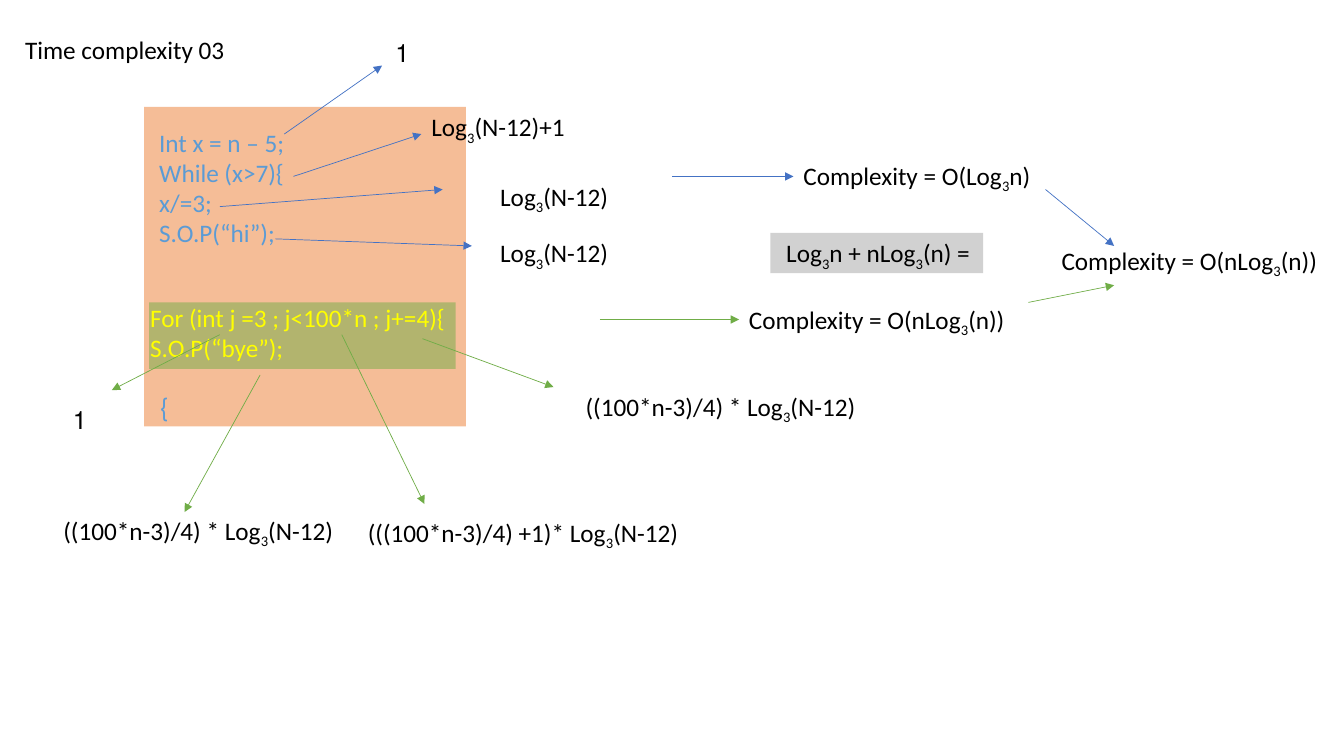
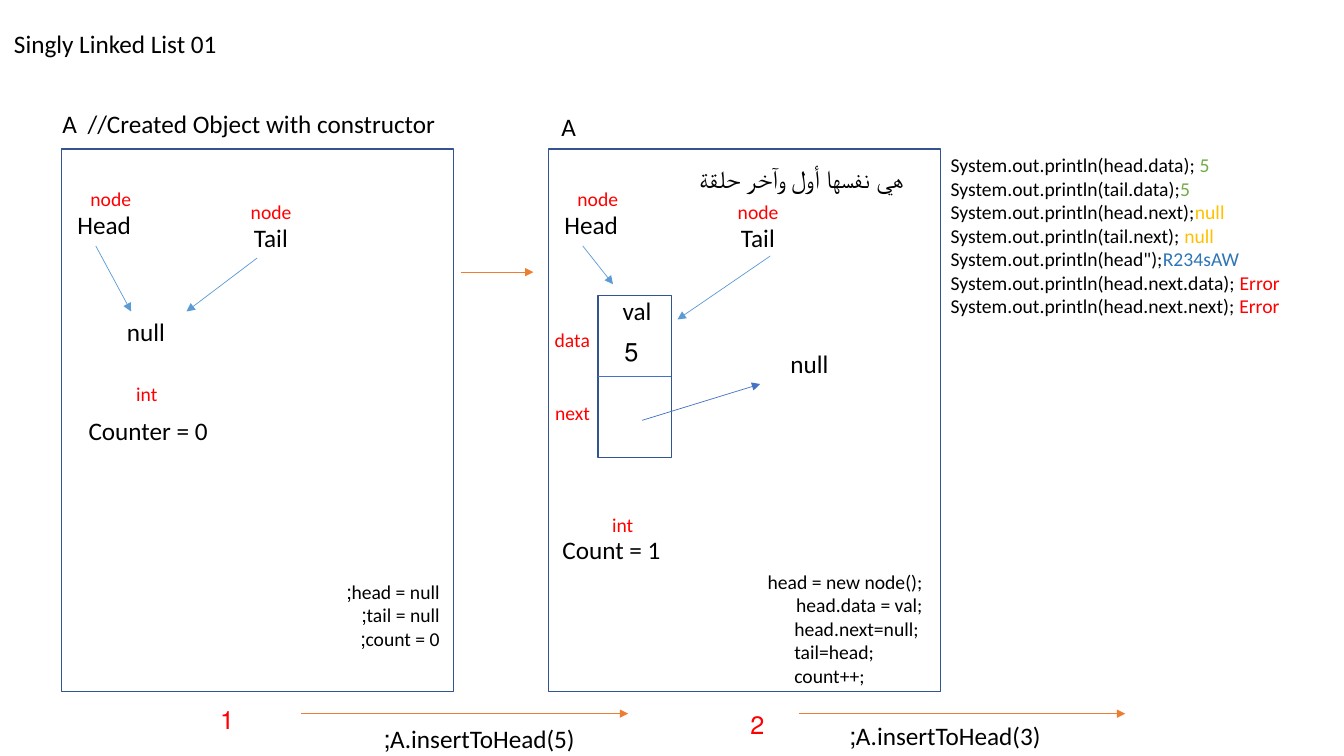
from pptx import Presentation
from pptx.dml.color import RGBColor
from pptx.enum.shapes import MSO_CONNECTOR, MSO_SHAPE
from pptx.enum.text import PP_ALIGN
from pptx.oxml.ns import qn
from pptx.util import Inches, Pt
from lxml import etree

RECT, STRAIGHT = MSO_SHAPE.RECTANGLE, MSO_CONNECTOR.STRAIGHT
RIGHT = PP_ALIGN.RIGHT
FONT = "Calibri"
BODY, SMALL = 18, 14

BLACK = RGBColor(0x00, 0x00, 0x00)
WHITE = RGBColor(0xFF, 0xFF, 0xFF)
RED = RGBColor(0xFF, 0x00, 0x00)
YELLOW = RGBColor(0xFF, 0xFF, 0x00)
GOLD = RGBColor(0xFF, 0xC0, 0x00)
GREY = RGBColor(0xA5, 0xA5, 0xA5)
ORANGE = RGBColor(0xED, 0x7D, 0x31)
GREEN = RGBColor(0x70, 0xAD, 0x47)
BLUE = RGBColor(0x44, 0x72, 0xC4)
SKY = RGBColor(0x5B, 0x9B, 0xD5)
DEEP = RGBColor(0x2E, 0x75, 0xB6)
NAVY = RGBColor(0x32, 0x54, 0x91)

# Time complexity: left, top, width, height, colour
BANDS = [
    (7.64, 2.31, 2.11, 0.4, GREY),
    (1.43, 1.06, 3.19, 3.17, ORANGE),
    (1.48, 3, 3.04, 0.66, GREEN),
]
WHILE_CODE = ["Int x = n – 5;", "While (x>7){", "x/=3;", "S.O.P(“hi”);"]
FOR_CODE = ["For (int j =3 ; j<100*n ; j+=4){", "S.O.P(“bye”);"]
# left, top, width, text, right to left
COSTS = [
    (3.36, 0.32, 0.8, "1", True),
    (4.18, 1.06, 1.95, "Log₃(N-12)+1", False),
    (4.59, 1.75, 1.54, "Log₃(N-12)", True),
    (4.59, 2.31, 1.54, "Log₃(N-12)", True),
    (0.41, 3.96, 0.55, "1", True),
    (5.71, 3.83, 3.01, "((100*n-3)/4) * Log₃(N-12)", False),
    (0.53, 5.06, 3.15, "((100*n-3)/4) * Log₃(N-12)", False),
    (3.55, 5.08, 3.73, "(((100*n-3)/4) +1)* Log₃(N-12)", False),
    (7.87, 1.54, 2.79, "Complexity = O(Log₃n)", False),
    (7.33, 2.97, 2.78, "Complexity = O(nLog₃(n))", False),
    (7.7, 2.31, 2.33, "Log₃n + nLog₃(n) =", False),
    (10.43, 2.38, 2.85, "Complexity = O(nLog₃(n))", False),
]
COST_ARROWS = {
    BLUE: [
        ((2.82, 1.33), (3.79, 0.65)),
        ((2.91, 1.75), (4.18, 1.33)),
        ((2.18, 2.05), (4.39, 1.88)),
        ((2.73, 2.37), (4.68, 2.44)),
        ((6.67, 1.75), (7.87, 1.75)),
        ((10.37, 1.88), (11.05, 2.44)),
    ],
    GREEN: [
        ((2.18, 3.32), (1.11, 3.87)),
        ((3.39, 3.32), (4.21, 5)),
        ((4.19, 3.36), (5.49, 3.84)),
        ((2.58, 3.72), (1.83, 5.08)),
        ((5.95, 3.17), (7.33, 3.17)),
        ((10.2, 3), (11.05, 2.83)),
    ],
}

# Linked list
PANEL_LEFTS = (0.61, 5.44)
LIST_LABELS = [
    (0.52, 1.03, 0.4, "A"),
    (0.77, 1.03, 3.8, "//Created Object with constructor"),
    (5.47, 1.06, 0.69, "A"),
    (0.78, 4.07, 1.77, "Counter = 0"),
    (5.48, 5.25, 1.77, "Count = 1"),
    (1.16, 3.09, 1.39, "null"),
    (7.74, 3.41, 1.39, "null"),
]
TYPE_LABELS = [
    (0.93, 3.74, "int"),
    (5.65, 5.04, "int"),
    (5.22, 3.2, "data"),
    (5.22, 3.93, "next"),
]
# left, top, width, text, colour
RTL_LABELS = [
    (1.13, 6.94, 1.29, "1", RED),
    (6.39, 6.99, 1.29, "2", RED),
    (5.92, 2.88, 0.64, "val", BLACK),
    (6.17, 3.29, 0.26, "5", BLACK),
    (6.77, 1.57, 2.29, "هي نفسها أول وآخر حلقة", BLACK),
    (3.47, 7.13, 2.33, "A.insertToHead(5);", BLACK),
    (8.09, 7.1, 2.33, "A.insertToHead(3);", BLACK),
]
LIST_ARROWS = {
    SKY: [
        ((0.95, 2.44), (1.3, 3.09)),
        ((2.55, 2.56), (1.85, 3.09)),
        ((5.78, 2.44), (6.08, 2.82)),
        ((7.64, 2.54), (6.72, 3.17)),
    ],
    BLUE: [((6.37, 4.17), (7.54, 3.81))],
    ORANGE: [
        ((4.57, 2.7), (5.29, 2.7)),
        ((2.99, 7.08), (6.23, 7.08)),
        ((7.92, 7.08), (11.16, 7.08)),
    ],
}
EMPTY_CODE = ["head = null;", "tail = null;", "count = 0;"]
INSERT_CODE = ["head = new node();", "head.data = val;", "head.next=null;",
               "tail=head;", "count++;"]
PRINTS = [
    ("System.out.println(head.data); ", "5", GREEN),
    ("System.out.println(tail.data);", "5", GREEN),
    ("System.out.println(head.next);", "null", GOLD),
    ("System.out.println(tail.next); ", "null", GOLD),
    ("System.out.println(head\");", "R234sAW", DEEP),
    ("System.out.println(head.next.data); ", "Error", RED),
    ("System.out.println(head.next.next); ", "Error", RED),
]


def add_span(para, text, size, color, subscript=False):
    span = para.add_run()
    span.text = text
    span.font.name, span.font.size = FONT, Pt(size)
    span.font.color.rgb = color
    if subscript:
        span.font._element.set("baseline", "-25000")


def write(page, left, top, width, *lines, size=BODY, color=BLACK, rtl=False):
    """Add a text box and return its paragraphs; ₃ becomes a lowered 3."""
    height = 0.1 + len(lines) * size / 60
    box = page.shapes.add_textbox(Inches(left), Inches(top),
                                  Inches(width), Inches(height))
    frame = box.text_frame
    frame.word_wrap = True
    for number, line in enumerate(lines):
        para = frame.add_paragraph() if number else frame.paragraphs[0]
        if rtl:
            para.alignment = RIGHT
            para._p.get_or_add_pPr().set("rtl", "1")
        for position, part in enumerate(line.split("₃")):
            if position:
                add_span(para, "3", size, color, subscript=True)
            if part:
                add_span(para, part, size, color)
    return frame.paragraphs


def indent(paras, side, inches):
    """Set the left (marL) or right (marR) margin of some paragraphs."""
    for para in paras:
        para._p.get_or_add_pPr().set(side, str(Inches(inches)))


def add_rect(page, left, top, width, height, fill=None, line=None, alpha=None):
    rect = page.shapes.add_shape(RECT, Inches(left), Inches(top),
                                 Inches(width), Inches(height))
    rect.shadow.inherit = False
    if fill is None:
        rect.fill.background()
    else:
        rect.fill.solid()
        rect.fill.fore_color.rgb = fill
    if alpha is not None:
        tint = rect._element.spPr.find(".//" + qn("a:srgbClr"))
        etree.SubElement(tint, qn("a:alpha")).set("val", str(alpha * 1000))
    if line is None:
        rect.line.fill.background()
    else:
        rect.line.color.rgb, rect.line.width = line, Pt(1)
    return rect


def add_line(page, start, end, color, arrow=True):
    points = [Inches(value) for value in (*start, *end)]
    line = page.shapes.add_connector(STRAIGHT, *points)
    line.line.color.rgb, line.line.width = color, Pt(0.5)
    if arrow:
        tail = etree.SubElement(line.line._get_or_add_ln(), qn("a:tailEnd"))
        tail.set("type", "triangle")
    etree.SubElement(line._element.spPr, qn("a:effectLst"))
    return line


def add_arrows(page, groups):
    for color, arrows in groups.items():
        for start, end in arrows:
            add_line(page, start, end, color)


def add_page(deck, title, left, top):
    page = deck.slides.add_slide(deck.slide_layouts[6])
    write(page, left, top, 2.68, title)
    return page


def build_complexity(deck):
    page = add_page(deck, "Time complexity 03", 0.15, 0.29)
    for *place, color in BANDS:
        add_rect(page, *place, fill=color, alpha=50)
    write(page, 1.48, 1.21, 2.19, *WHILE_CODE, color=SKY)
    write(page, 1.39, 2.95, 3.19, *FOR_CODE, color=YELLOW)
    write(page, 1.22, 3.83, 0.55, "}", color=SKY, rtl=True)
    add_arrows(page, COST_ARROWS)
    for left, top, width, text, rtl in COSTS:
        write(page, left, top, width, text, rtl=rtl)


def add_panel(page, left):
    """Frame of one list state, with its head and tail references."""
    add_rect(page, left, 1.48, 3.89, 5.38, line=NAVY)
    for name, offset, top, tag_offset in (("Head", 0.06, 2.03, 0.06),
                                          ("Tail", 1.81, 2.16, 1.65)):
        write(page, left + offset, top, 1.26, name)
        add_type(page, left + tag_offset, top - 0.23, "node")


def add_type(page, left, top, text):
    write(page, left, top, 0.73, text, size=SMALL, color=RED, rtl=True)


def build_linked_list(deck):
    page = add_page(deck, "Singly Linked List 01", 0.04, 0.23)
    for left in PANEL_LEFTS:
        add_panel(page, left)

    node = add_rect(page, 5.93, 2.93, 0.73, 1.61, fill=WHITE, line=NAVY)
    divider = add_line(page, (5.93, 3.74), (6.66, 3.74), BLUE, arrow=False)
    divider.begin_connect(node, 1)
    divider.end_connect(node, 3)
    add_arrows(page, LIST_ARROWS)

    for label in LIST_LABELS:
        write(page, *label)
    for label in TYPE_LABELS:
        add_type(page, *label)
    for *label, color in RTL_LABELS:
        write(page, *label, color=color, rtl=True)

    paras = write(page, 2.79, 5.7, 1.67, *EMPTY_CODE, size=SMALL, rtl=True)
    indent(paras[:1], "marR", 0.04)
    indent(paras[1:], "marR", 0.13)
    paras = write(page, 7.25, 5.6, 2, *INSERT_CODE, size=SMALL)
    for para in paras[:2]:
        para.alignment = RIGHT
    indent(paras[2:], "marL", 0.53)

    calls = [call for call, _, _ in PRINTS]
    paras = write(page, 9.33, 1.47, 3.89, *calls, size=SMALL)
    for para, (_, result, color) in zip(paras, PRINTS):
        add_span(para, result, SMALL, color)


def main():
    deck = Presentation()
    deck.slide_width, deck.slide_height = Inches(13.33), Inches(7.5)
    build_complexity(deck)
    build_linked_list(deck)
    deck.save("out.pptx")


if __name__ == "__main__":
    main()
